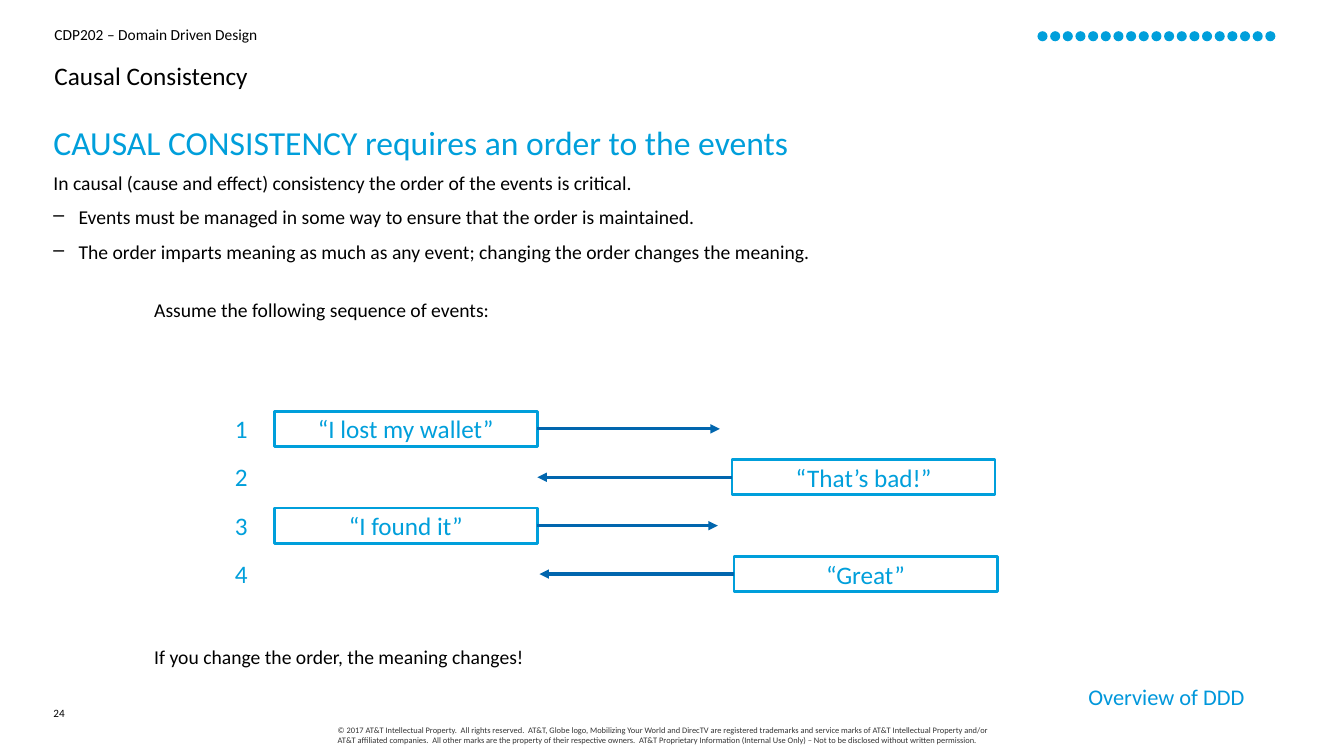
from collections import namedtuple

from lxml import etree
from pptx import Presentation
from pptx.dml.color import RGBColor
from pptx.enum.shapes import MSO_CONNECTOR, MSO_SHAPE
from pptx.enum.text import MSO_ANCHOR, PP_ALIGN
from pptx.oxml.ns import qn
from pptx.util import Inches, Pt

RECTANGLE, OVAL = MSO_SHAPE.RECTANGLE, MSO_SHAPE.OVAL
STRAIGHT = MSO_CONNECTOR.STRAIGHT
LEFT, CENTER, RIGHT = PP_ALIGN.LEFT, PP_ALIGN.CENTER, PP_ALIGN.RIGHT
MIDDLE = MSO_ANCHOR.MIDDLE
LEFT_SIDE, RIGHT_SIDE = 1, 3

BLACK = RGBColor(0x00, 0x00, 0x00)
WHITE = RGBColor(0xFF, 0xFF, 0xFF)
GRAY = RGBColor(0x34, 0x34, 0x34)
CYAN = RGBColor(0x00, 0x9F, 0xDB)
SECTION_BLUE = RGBColor(0x00, 0x97, 0xDB)
ARROW_BLUE = RGBColor(0x01, 0x66, 0xAE)
FONT = "Calibri"
WIDTH, HEIGHT = 13.33, 7.5

Box = namedtuple("Box", "left top width height")

COPYRIGHT = (
    "© 2017 AT&T Intellectual Property.  All rights reserved.  AT&T, Globe logo, "
    "Mobilizing Your World and DirecTV are registered trademarks and service marks of "
    "AT&T Intellectual Property and/or AT&T affiliated companies.  All other marks are "
    "the property of their respective owners.  AT&T Proprietary Information "
    "(Internal Use Only) – Not to be disclosed without written permission."
)
BULLETS = (
    "Events must be managed in some way to ensure that the order is maintained.",
    "The order imparts meaning as much as any event; changing the order changes the meaning.",
)
EVENTS = (
    ("“I lost my wallet”", 0.39, 4.81),
    ("“That’s bad!”", 4.93, 3.0),
    ("“I found it”", 0.39, 4.79),
    ("“Great”", 4.95, 3.02),
)


def inches(box):
    return [Inches(length) for length in box]


def add_run(paragraph, text, size, color):
    run = paragraph.add_run()
    run.text = text
    run.font.name = FONT
    run.font.size = Pt(size)
    run.font.color.rgb = color


def add_text_box(slide, box, margins=(0, 0), wrap=True):
    frame = slide.shapes.add_textbox(*inches(box)).text_frame
    frame.margin_left = frame.margin_right = Inches(margins[0])
    frame.margin_top = frame.margin_bottom = Inches(margins[1])
    frame.word_wrap = wrap
    return frame


def add_label(slide, box, text, size, color, alignment=LEFT, spacing=None, **options):
    paragraph = add_text_box(slide, box, **options).paragraphs[0]
    paragraph.alignment = alignment
    if spacing:
        paragraph.line_spacing = spacing
    add_run(paragraph, text, size, color)


def add_filled_shape(slide, kind, box, fill):
    shape = slide.shapes.add_shape(kind, *inches(box))
    shape.shadow.inherit = False
    shape.fill.solid()
    shape.fill.fore_color.rgb = fill
    shape.line.fill.background()
    return shape


def indent_paragraph(paragraph, margin, first_line, bullet=None):
    properties = paragraph._p.get_or_add_pPr()
    properties.set("marL", str(Inches(margin)))
    properties.set("indent", str(Inches(first_line)))
    if bullet:
        etree.SubElement(properties, qn("a:buChar")).set("char", bullet)


def add_header(slide, box):
    add_label(slide, Box(box.left, box.top, box.width, 0.2),
              "CDP202 – Domain Driven Design", 11, BLACK)
    add_label(slide, Box(box.left, box.top + 0.32, box.width, 0.37),
              "Causal Consistency", 18, BLACK, spacing=1.1)


def add_dot_row(slide, box, count=19):
    pitch = (box.width - box.height) / (count - 1)
    for index in range(count):
        dot = Box(box.left + index * pitch, box.top, box.height, box.height)
        add_filled_shape(slide, OVAL, dot, CYAN)


def add_body(slide, box):
    frame = add_text_box(slide, box)
    heading = frame.paragraphs[0]
    heading.line_spacing = 0.9
    heading.space_after = Pt(6)
    add_run(heading, "CAUSAL CONSISTENCY requires an order to the events", 24, CYAN)

    def add_line(text, before=0):
        paragraph = frame.add_paragraph()
        paragraph.space_before = Pt(before)
        paragraph.space_after = Pt(8)
        add_run(paragraph, text, 14, BLACK)
        return paragraph

    add_line("In causal (cause and effect) consistency the order of the events is critical.")
    for text in BULLETS:
        indent_paragraph(add_line(text), 0.25, -0.25, "–")
    for text, before in (("Assume the following sequence of events:", 16.5),
                         ("If you change the order, the meaning changes!", 223)):
        indent_paragraph(add_line(text, before), 1, 0)


def add_arrow(slide, message, side, end_x):
    middle = message.top + message.height // 2
    arrow = slide.shapes.add_connector(STRAIGHT, message.left, middle, Inches(end_x), middle)
    arrow.begin_connect(message, side)
    arrow.line.color.rgb = ARROW_BLUE
    arrow.line.width = Pt(2.25)
    etree.SubElement(arrow.line._get_or_add_ln(), qn("a:tailEnd")).set("type", "triangle")
    etree.SubElement(arrow._element.spPr, qn("a:effectLst"))


def add_event_sequence(slide, box):
    pitch = box.height / len(EVENTS)
    for index, (text, offset, arrow_end) in enumerate(EVENTS):
        top = box.top + index * pitch
        message = add_filled_shape(
            slide, RECTANGLE, Box(box.left + offset, top, 2.61, 0.35), WHITE)
        message.line.color.rgb = CYAN
        message.line.width = Pt(2)
        frame = message.text_frame
        frame.margin_left = frame.margin_right = frame.margin_top = frame.margin_bottom = 0
        frame.vertical_anchor = MIDDLE
        frame.paragraphs[0].alignment = CENTER
        add_run(frame.paragraphs[0], text, 18, CYAN)
        side = RIGHT_SIDE if arrow_end > offset else LEFT_SIDE
        add_arrow(slide, message, side, box.left + arrow_end)
        add_label(slide, Box(box.left, top + 0.02, 0.13, 0.3),
                  str(index + 1), 18, CYAN, wrap=False)


def add_footer(slide, box):
    add_label(slide, Box(box.left, box.top + 0.27, 0.32, 0.25),
              "24", 8, BLACK, spacing=Pt(10))
    add_label(slide, Box(box.left + 2.82, box.top + 0.46, 6.64, 0.24), COPYRIGHT, 6, GRAY)
    add_label(slide, Box(box.left + box.width - 2.29, box.top, 2.29, 0.37),
              "Overview of DDD", 16, SECTION_BLUE, RIGHT, margins=(0.1, 0.05))


def main():
    presentation = Presentation()
    presentation.slide_width = Inches(WIDTH)
    presentation.slide_height = Inches(HEIGHT)
    slide = presentation.slides.add_slide(presentation.slide_layouts[6])
    add_header(slide, Box(0.54, 0.25, 12.26, 0.69))
    add_body(slide, Box(0.53, 1.25, 12.26, 5.26))
    add_event_sequence(slide, Box(2.33, 4.08, 7.56, 1.92))
    add_dot_row(slide, Box(10.29, 0.31, 2.36, 0.1))
    add_footer(slide, Box(0.53, 6.73, 11.91, 0.7))
    presentation.save("out.pptx")


if __name__ == "__main__":
    main()
